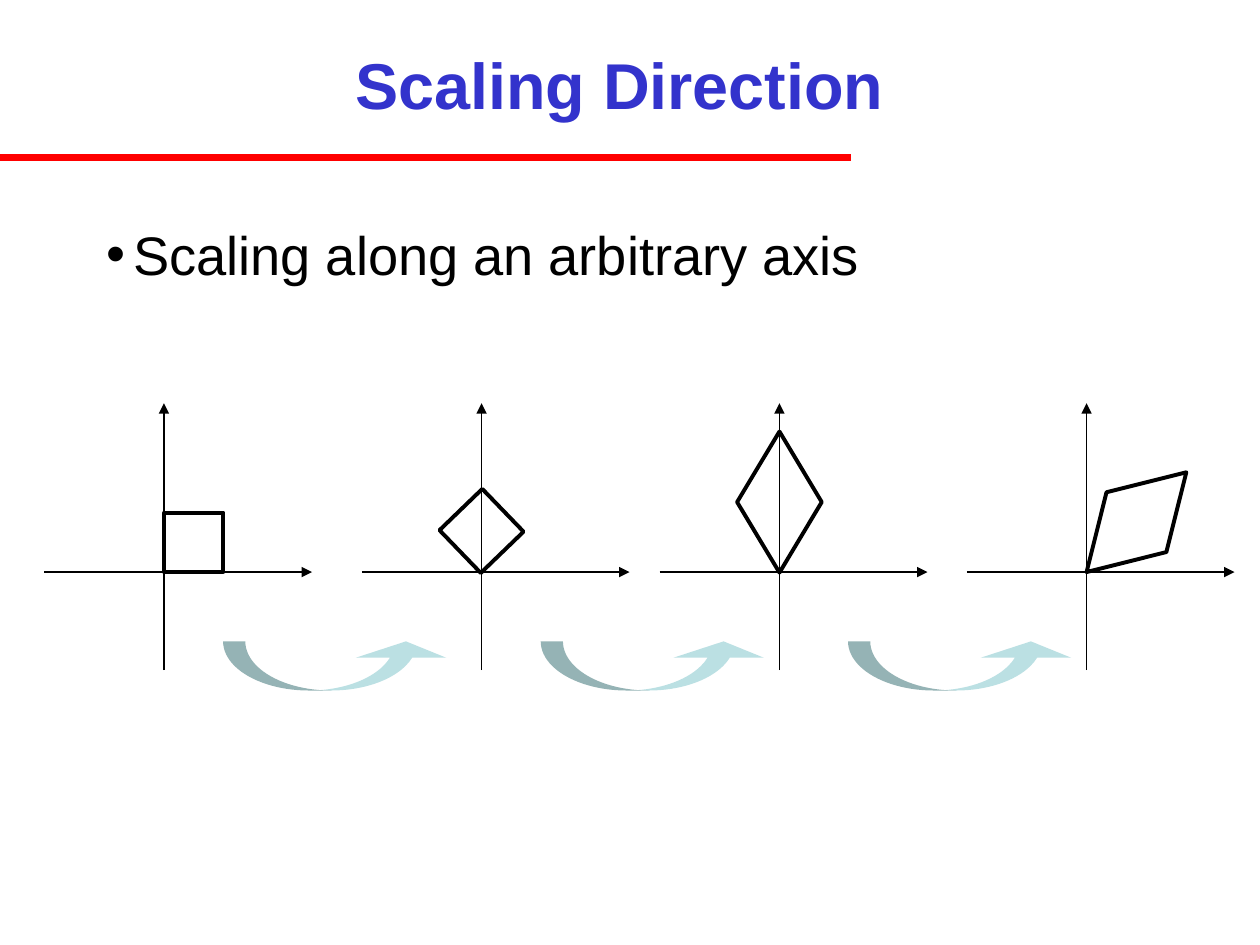
from lxml import etree
from pptx import Presentation
from pptx.dml.color import RGBColor
from pptx.enum import shapes, text
from pptx.oxml import ns
from pptx.util import Pt

COLORS = {"title": "3333CC", "rule": "FF0000", "ink": "000000", "arrow": "BBE0E3"}
FONT = "Arial"
PLOT_W, PLOT_H = 153, 152.6
ORIGIN_DX, ORIGIN_DY = 68.4, 96.5  # axes origin inside a plot
SIDE = 34
RHOMBUS = [(0, 0), (11.4, -45.6), (57, -57), (45.6, -11.4)]


def color(name):
    return RGBColor.from_string(COLORS[name])


def add_line(slide, start, end, name, width, arrow=False):
    ends = [Pt(v) for v in (*start, *end)]
    line = slide.shapes.add_connector(shapes.MSO_CONNECTOR.STRAIGHT, *ends)
    line.line.color.rgb = color(name)
    line.line.width = Pt(width)
    if arrow:
        etree.SubElement(line.line._get_or_add_ln(), ns.qn("a:tailEnd"), type="triangle")
    etree.SubElement(line._element.spPr, ns.qn("a:effectLst"))


def outline(shape, rotation):
    shape.shadow.inherit = False
    shape.fill.background()
    shape.line.color.rgb = color("ink")
    shape.line.width = Pt(2.25)
    shape.rotation = rotation


def add_text(slide, box, words, size, name):
    frame = slide.shapes.add_textbox(*[Pt(v) for v in box]).text_frame
    frame.word_wrap = True
    frame.text = words
    font = frame.paragraphs[0].runs[0].font
    font.name, font.size, font.color.rgb = FONT, Pt(size), color(name)
    return frame


def add_header(slide, left, top, width, height):
    add_line(slide, (left, top + height), (left + 486, top + height), "rule", 4)
    frame = add_text(slide, (left, top, width, height), "Scaling Direction", 37, "title")
    frame.vertical_anchor = text.MSO_ANCHOR.MIDDLE
    heading = frame.paragraphs[0]
    heading.alignment = text.PP_ALIGN.CENTER
    heading.runs[0].font.bold = True


def add_body(slide, *box):
    frame = add_text(slide, box, "Scaling along an arbitrary axis", 31, "ink")
    props = frame.paragraphs[0]._p.get_or_add_pPr()
    props.set("marL", str(Pt(15)))
    props.set("indent", str(-Pt(15)))
    etree.SubElement(props, ns.qn("a:buFont"), typeface=FONT)
    etree.SubElement(props, ns.qn("a:buChar"), char="•")


def add_square(slide, center_x, center_y, rotation=0):
    square = slide.shapes.add_shape(
        shapes.MSO_SHAPE.RECTANGLE, Pt(center_x - SIDE / 2), Pt(center_y - SIDE / 2),
        Pt(SIDE), Pt(SIDE))
    outline(square, rotation)


def add_rhombus(slide, center_x, center_y, rotation=0):
    corners = [(Pt(center_x - 28.5 + dx), Pt(center_y + 28.5 + dy)) for dx, dy in RHOMBUS]
    builder = slide.shapes.build_freeform(*corners[0])
    builder.add_line_segments(corners[1:], close=True)
    outline(builder.convert_to_shape(), rotation)


def add_plot(slide, left, top, add_figure, dx, dy, rotation):
    """Draw axes and a figure centred at (dx, dy) from their origin."""
    x, y = left + ORIGIN_DX, top + ORIGIN_DY
    add_line(slide, (left, y), (left + PLOT_W, y), "ink", 0.75, arrow=True)
    add_line(slide, (x, top + PLOT_H), (x, top), "ink", 0.75, arrow=True)
    add_figure(slide, x + dx, y + dy, rotation)


def add_step_arrow(slide, *box):
    arrow = slide.shapes.add_shape(
        shapes.MSO_SHAPE.CURVED_UP_ARROW, *[Pt(v) for v in box])
    arrow.shadow.inherit = False
    arrow.fill.solid()
    arrow.fill.fore_color.rgb = color("arrow")
    arrow.line.fill.background()
    for index, value in enumerate((0.452, 1.84, 0.333)):
        arrow.adjustments[index] = value


def main():
    prs = Presentation()
    prs.slide_width, prs.slide_height = Pt(720), Pt(540)
    slide = prs.slides.add_slide(prs.slide_layouts[6])
    add_header(slide, 0, 6, 708, 84)
    add_body(slide, 54, 123, 612, 372)

    plots = [
        (25.3, add_square, SIDE / 2, -SIDE / 2, 0),
        (206.8, add_square, 0, -23.5, -44),
        (377, add_rhombus, 0, -40, -45),
        (552.5, add_rhombus, 28.5, -28.5, 0),
    ]
    for left, add_figure, dx, dy, rotation in plots:
        add_plot(slide, left, 230.4, add_figure, dx, dy, rotation)
    for left in (127.5, 309, 484.6):
        add_step_arrow(slide, left, 366.5, 130.3, 28.1)
    prs.save("out.pptx")


if __name__ == "__main__":
    main()
